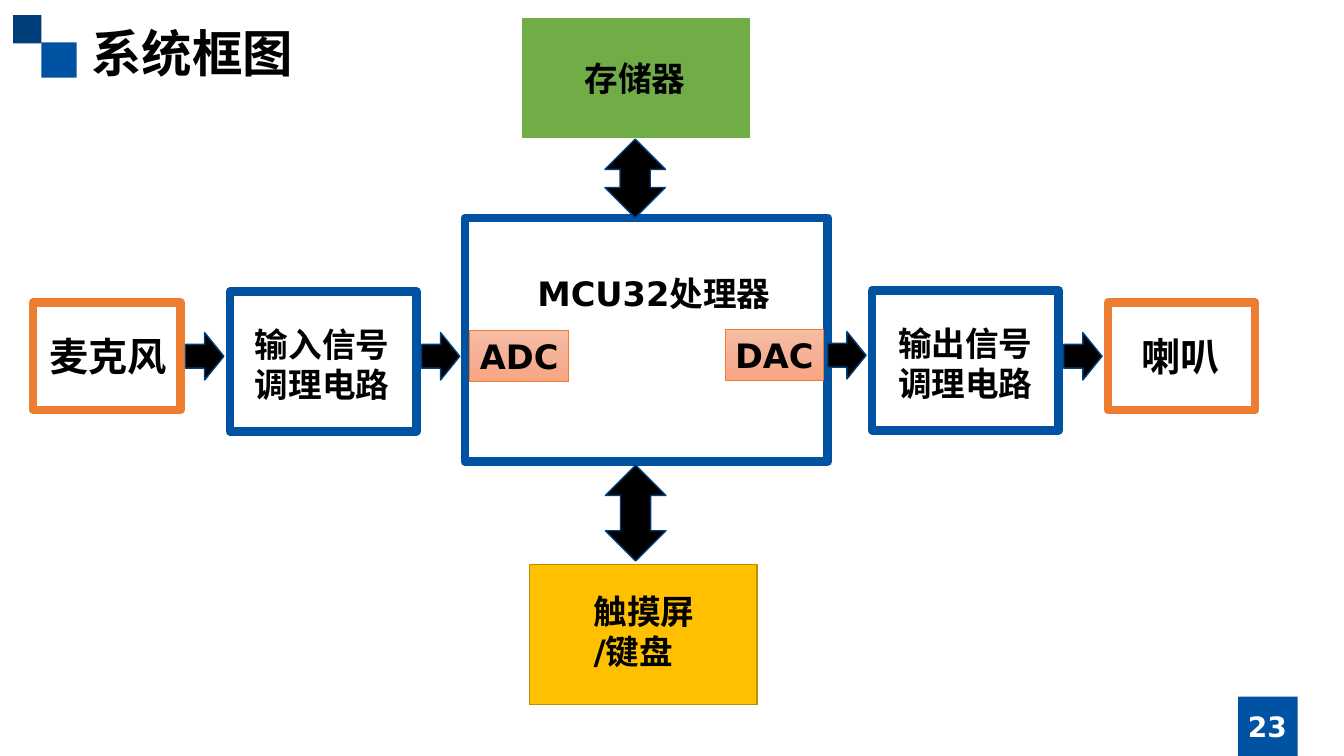
from copy import deepcopy

from lxml import etree
from pptx import Presentation
from pptx.dml.color import RGBColor
from pptx.enum.shapes import MSO_SHAPE as Shape
from pptx.enum.text import MSO_ANCHOR as Anchor, MSO_AUTO_SIZE as AutoSize, PP_ALIGN as Align
from pptx.oxml.ns import qn
from pptx.util import Inches, Pt

LATIN, CHINESE = "DejaVu Sans", "Noto Sans CJK SC"
BLUE, NAVY, ORANGE = "0053A3", "003E7A", "ED7D31"
BLACK, WHITE = "000000", "FFFFFF"
ARROW_EDGE = "003D79"
CONVERTER_STOPS = [(0, "F7BDA5"), (0.5, "F5B196"), (1, "F8A582")]

# Content: positions are (left, top, width, height) in inches
TITLE = ("系统框图", (0.81, 0.17, 5.91, 0.71), 36)
PAGE_NUMBER = ("23", (11.81, 7.01, 1.52, 0.4), 20)
DECORATION = [
    ((0.41, 0.42, 0.35, 0.35), BLUE),
    ((0.13, 0.15, 0.28, 0.28), NAVY),
    ((12.28, 6.91, 0.59, 0.59), BLUE),
]
# box, fill, edge, edge width, label, label position, size, alignment
BLOCKS = [
    ((0.33, 3, 1.46, 1.07), WHITE, ORANGE, 6,
     "麦克风", (0.39, 3.25, 1.37, 0.57), 28, Align.LEFT),
    ((2.28, 2.89, 1.85, 1.39), WHITE, BLUE, 6,
     "输入信号\n调理电路", (2.43, 3.16, 1.53, 0.91), 24, Align.LEFT),
    ((4.61, 2.16, 3.6, 2.42), WHITE, BLUE, 6,
     "MCU32处理器", (5.08, 2.66, 2.81, 0.5), 24, Align.CENTER),
    ((8.65, 2.88, 1.85, 1.39), WHITE, BLUE, 6,
     "输出信号\n调理电路", (8.81, 3.15, 1.53, 0.91), 24, Align.LEFT),
    ((10.99, 3, 1.46, 1.07), WHITE, ORANGE, 6,
     "喇叭", (11.22, 3.25, 0.98, 0.57), 28, Align.LEFT),
    ((5.17, 0.17, 2.28, 1.21), "70AD47", WHITE, 1.5,
     "存储器", (5.7, 0.53, 1.21, 0.5), 24, Align.LEFT),
    ((5.25, 5.6, 2.26, 1.39), "FFC000", "BD8E00", 1,
     "触摸屏\n/键盘", (5.79, 5.81, 1.2, 0.91), 24, Align.LEFT),
]
CONVERTERS = [("ADC", (4.66, 3.28, 0.98, 0.5)), ("DAC", (7.19, 3.27, 0.98, 0.5))]
SIGNAL_ARROWS = [(1.84, 3.3), (4.18, 3.3), (8.21, 3.29), (10.55, 3.3)]
SIGNAL_ARROW_SIZE = (0.38, 0.47)
BUS_ARROWS = [(5.91, 1.47, 0.78, 0.6), (5.83, 4.79, 0.95, 0.6)]


def color(hex_code):
    return RGBColor.from_string(hex_code)


def add_shape(slide, kind, box, fill, edge=None, edge_width=1):
    shape = slide.shapes.add_shape(kind, *map(Inches, box))
    shape.shadow.inherit = False
    shape.fill.solid()
    shape.fill.fore_color.rgb = color(fill)
    if edge:
        shape.line.color.rgb = color(edge)
        shape.line.width = Pt(edge_width)
    else:
        shape.line.fill.background()
    return shape


def write(shape, text, size, align=Align.LEFT, ink=BLACK, latin=LATIN,
          wrap=False, anchor=Anchor.TOP, grow=True):
    frame = shape.text_frame
    frame.text = text
    frame.word_wrap = wrap
    frame.vertical_anchor = anchor
    frame.auto_size = AutoSize.SHAPE_TO_FIT_TEXT if grow else AutoSize.NONE
    for paragraph in frame.paragraphs:
        paragraph.alignment = align
        for run in paragraph.runs:
            run.font.size = Pt(size)
            run.font.bold = True
            run.font.color.rgb = color(ink)
            run.font.name = latin
            east_asian = etree.SubElement(run.font._element, qn("a:ea"))
            east_asian.set("typeface", CHINESE)


def add_label(slide, text, box, size, **style):
    write(slide.shapes.add_textbox(*map(Inches, box)), text, size, **style)


def shade(shape, stops):
    """Fill from top to bottom through the given colour stops."""
    shape.fill.gradient()
    shape.fill.gradient_angle = 270
    stop_list = shape._element.spPr.find(".//" + qn("a:gsLst"))
    stop_list.insert(1, deepcopy(stop_list[0]))
    for stop, (position, hex_code) in zip(shape.fill.gradient_stops, stops):
        stop.position = position
        stop.color.rgb = color(hex_code)


def main():
    prs = Presentation()
    prs.slide_width, prs.slide_height = Inches(13.33), Inches(7.5)
    slide = prs.slides.add_slide(prs.slide_layouts[6])

    # Title and page number
    for box, fill in DECORATION:
        add_shape(slide, Shape.RECTANGLE, box, fill)
    add_label(slide, *TITLE, latin=CHINESE, wrap=True)
    add_label(slide, *PAGE_NUMBER, align=Align.CENTER, ink=WHITE, wrap=True,
              anchor=Anchor.MIDDLE, grow=False)

    # Blocks with their labels
    for box, fill, edge, edge_width, label, label_box, size, align in BLOCKS:
        add_shape(slide, Shape.RECTANGLE, box, fill, edge, edge_width)
        add_label(slide, label, label_box, size, align=align)

    # Converters on the processor's edges
    for name, box in CONVERTERS:
        converter = add_shape(slide, Shape.RECTANGLE, box, WHITE, ORANGE, 0.5)
        shade(converter, CONVERTER_STOPS)
        write(converter, name, 24, Align.CENTER)

    # Signal path and two-way buses
    for corner in SIGNAL_ARROWS:
        add_shape(slide, Shape.RIGHT_ARROW, corner + SIGNAL_ARROW_SIZE, BLACK, ARROW_EDGE)
    for box in BUS_ARROWS:
        add_shape(slide, Shape.LEFT_RIGHT_ARROW, box, BLACK, ARROW_EDGE).rotation = 270

    prs.save("out.pptx")


if __name__ == "__main__":
    main()
